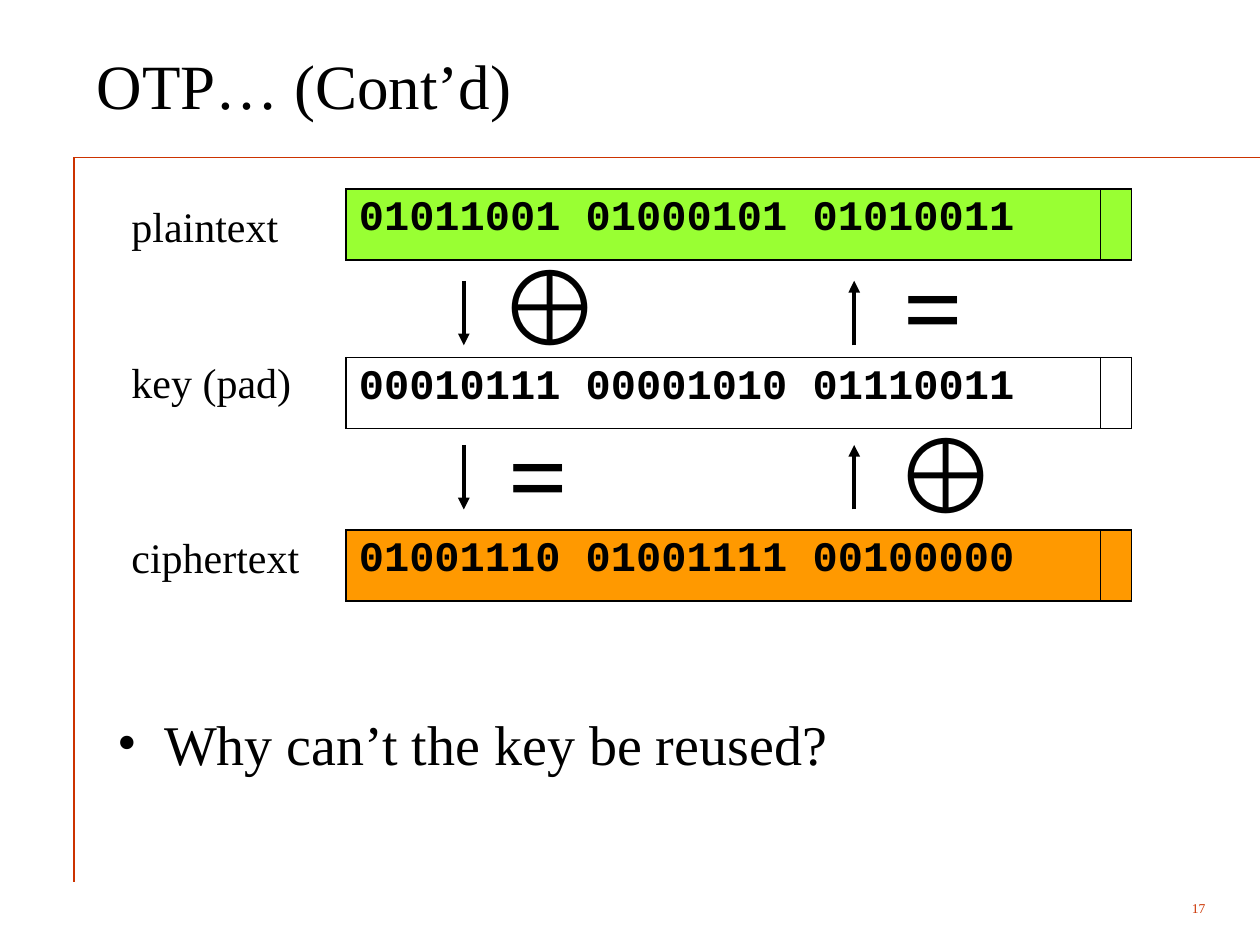
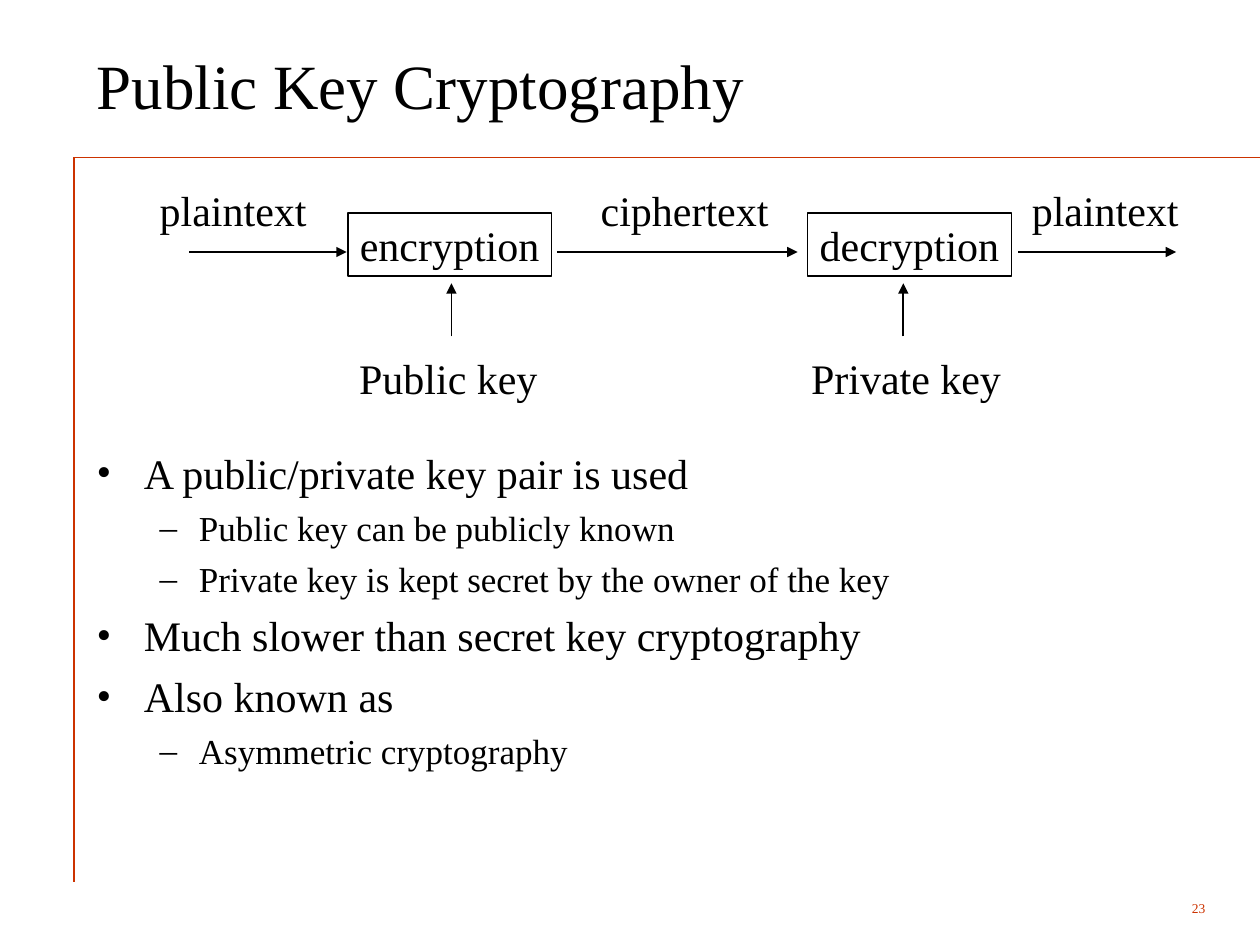
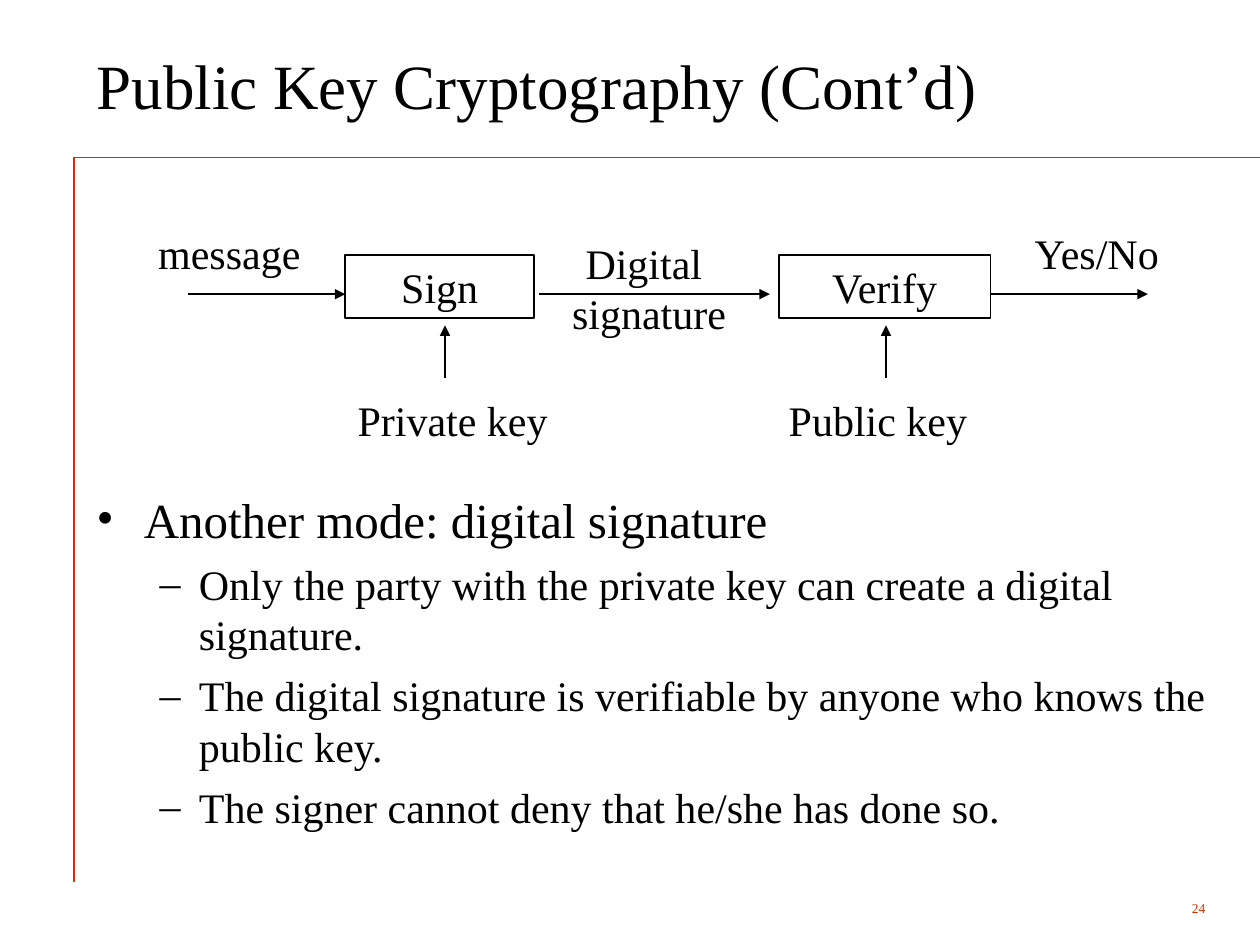
"""Builds three lecture slides on one-time pads and public key cryptography."""
from dataclasses import dataclass

from lxml import etree
from pptx import Presentation
from pptx.dml.color import RGBColor
from pptx.enum.shapes import MSO_CONNECTOR, MSO_SHAPE
from pptx.enum.text import MSO_ANCHOR, PP_ALIGN
from pptx.oxml.ns import qn
from pptx.slide import Slide
from pptx.util import Cm, Pt

STRAIGHT = MSO_CONNECTOR.STRAIGHT
RECTANGLE = MSO_SHAPE.RECTANGLE
TOP, MIDDLE = MSO_ANCHOR.TOP, MSO_ANCHOR.MIDDLE
LEFT, CENTER, RIGHT = PP_ALIGN.LEFT, PP_ALIGN.CENTER, PP_ALIGN.RIGHT

SERIF, SANS, MONO = "Times New Roman", "Arial", "Courier New"
BLACK, RUST, GREEN, ORANGE = "000000", "CC3300", "99FF33", "FF9900"
MARGIN_X, MARGIN_Y = 0.25, 0.13
LABEL_HEIGHT = 1.27


@dataclass(frozen=True)
class Style:
    """Look of a piece of text."""
    size: float = 24
    font: str = SERIF
    color: str = BLACK
    bold: bool = False
    align: PP_ALIGN = LEFT


@dataclass(frozen=True)
class Area:
    """Position and size in centimetres."""
    left: float
    top: float
    width: float
    height: float = LABEL_HEIGHT


@dataclass(frozen=True)
class Bullet:
    """One bulleted line with its outline level."""
    text: str
    size: float
    level: int = 0


@dataclass(frozen=True)
class BitRow:
    """A labelled row of bits."""
    label: str
    bits: str
    label_top: float
    top: float
    fill: str | None = None


@dataclass(frozen=True)
class Caption:
    """Text with its horizontal extent."""
    text: str
    left: float
    width: float


@dataclass(frozen=True)
class Stage:
    """A boxed operation with the key that feeds it."""
    box: Caption
    key: Caption
    key_arrow: float


@dataclass(frozen=True)
class Flow:
    """A chain of two stages joined by labelled arrows."""
    top: float
    messages: tuple[Caption, ...]
    stages: tuple[Stage, ...]
    arrows: tuple[tuple[float, float], ...]


TITLE = Style(size=36)
LABEL = Style()
CENTERED_LABEL = Style(align=CENTER)
PAGE_NUMBER = Style(size=7.7, color=RUST, align=RIGHT)
BITS = Style(font=MONO, bold=True)
OPERATOR_FONTS = {"⊕": SANS, "=": SERIF}

INDENTS = ((0.95, "•", 0.95), (2.06, "–", 0.79))

BIT_ROWS = (
    BitRow("plaintext", "01011001 01000101 01010011", 3.91, 3.81, GREEN),
    BitRow("key (pad)", "00010111 00001010 01110011", 7.06, 7.21),
    BitRow("ciphertext", "01001110 01001111 00100000", 10.59, 10.69, ORANGE),
)

ENCRYPTION_FLOW = Flow(
    top=3.6,
    messages=(Caption("plaintext", 2.97, 3.7), Caption("ciphertext", 11.86, 4.1),
              Caption("plaintext", 20.55, 3.7)),
    stages=(Stage(Caption("encryption", 7.01, 4.11), Caption("Public key", 6.99, 4.4), 9.1),
            Stage(Caption("decryption", 16.28, 4.11), Caption("Private key", 16.1, 4.6), 18.21)),
    arrows=((3.81, 6.99), (11.23, 16.08), (20.53, 23.71)),
)

SIGNATURE_FLOW = Flow(
    top=4.45,
    messages=(Caption("message", 2.94, 3.6), Caption("Digital \nsignature", 11.28, 3.61),
              Caption("Yes/No", 20.61, 3.4)),
    stages=(Stage(Caption("Sign", 6.96, 3.81), Caption("Private key", 6.96, 4.6), 8.97),
            Stage(Caption("Verify", 15.7, 4.27), Caption("Public key", 15.65, 4.4), 17.86)),
    arrows=((3.78, 6.96), (10.87, 15.52), (19.96, 23.14)),
)


def rgb(color: str) -> RGBColor:
    """Turn a hex string into a colour."""
    return RGBColor.from_string(color)


def add_run(paragraph, text: str, style: Style) -> None:
    """Append one styled run to a paragraph."""
    paragraph.alignment = style.align
    run = paragraph.add_run()
    run.text = text
    run.font.size = Pt(style.size)
    run.font.name = style.font
    run.font.bold = style.bold
    run.font.color.rgb = rgb(style.color)


def prepare_frame(frame, anchor: MSO_ANCHOR = TOP, margin_x: float = MARGIN_X) -> None:
    """Set wrapping, anchor and margins of a text frame."""
    frame.word_wrap = True
    frame.vertical_anchor = anchor
    frame.margin_left = frame.margin_right = Cm(margin_x)
    frame.margin_top = frame.margin_bottom = Cm(MARGIN_Y)


def extent(area: Area) -> tuple[Cm, Cm, Cm, Cm]:
    """Convert an area to lengths."""
    return Cm(area.left), Cm(area.top), Cm(area.width), Cm(area.height)


def add_text(slide: Slide, area: Area, text: str, style: Style = LABEL,
             anchor: MSO_ANCHOR = TOP) -> None:
    """Place a text box with one paragraph per line of text."""
    frame = slide.shapes.add_textbox(*extent(area)).text_frame
    prepare_frame(frame, anchor)
    for index, line in enumerate(text.split("\n")):
        add_run(frame.add_paragraph() if index else frame.paragraphs[0], line, style)


def add_box(slide: Slide, area: Area, text: str) -> None:
    """Place an outlined box with centred text."""
    box = slide.shapes.add_shape(RECTANGLE, *extent(area))
    box.shadow.inherit = False
    box.fill.background()
    box.line.color.rgb = rgb(BLACK)
    box.line.width = Pt(1)
    prepare_frame(box.text_frame, margin_x=0.1)
    add_run(box.text_frame.paragraphs[0], text, CENTERED_LABEL)


def add_line(slide: Slide, start: tuple[float, float], end: tuple[float, float],
             width: float = 1, color: str = BLACK, arrow: bool = True) -> None:
    """Draw a straight line, by default with an arrowhead at its end."""
    line = slide.shapes.add_connector(STRAIGHT, *map(Cm, start + end))
    line.line.color.rgb = rgb(color)
    line.line.width = Pt(width)
    if arrow:
        etree.SubElement(line.line._get_or_add_ln(), qn("a:tailEnd"), type="triangle")
    etree.SubElement(line._element.spPr, qn("a:effectLst"))


def add_bullets(slide: Slide, area: Area, bullets: tuple[Bullet, ...]) -> None:
    """Place a bulleted list whose gaps are a quarter of the text size."""
    frame = slide.shapes.add_textbox(*extent(area)).text_frame
    prepare_frame(frame)
    for index, bullet in enumerate(bullets):
        paragraph = frame.add_paragraph() if index else frame.paragraphs[0]
        indent, mark, hanging = INDENTS[bullet.level]
        properties = paragraph._p.get_or_add_pPr()
        properties.set("marL", str(Cm(indent)))
        properties.set("indent", str(-Cm(hanging)))
        etree.SubElement(properties, qn("a:buFont"), typeface=SERIF)
        etree.SubElement(properties, qn("a:buChar"), char=mark)
        paragraph.level = bullet.level
        if index:
            paragraph.space_before = Pt(bullet.size / 4)
        add_run(paragraph, bullet.text, Style(size=bullet.size))


def style_cell(cell, fill: str | None, borders: dict[str, float]) -> None:
    """Set the fill and border widths of a cell."""
    properties = cell._tc.get_or_add_tcPr()
    for side, width in borders.items():
        border = etree.SubElement(properties, qn(f"a:ln{side}"), w=str(Pt(width)))
        paint = etree.SubElement(border, qn("a:solidFill"))
        etree.SubElement(paint, qn("a:srgbClr"), val=BLACK)
    if fill:
        cell.fill.solid()
        cell.fill.fore_color.rgb = rgb(fill)
    else:
        cell.fill.background()


def add_bit_row(slide: Slide, row: BitRow) -> None:
    """Place a row label and its table of bits."""
    add_text(slide, Area(2.4, row.label_top, 4.37), row.label)
    area = Area(6.98, row.top, 15.83, 1.43)
    table = slide.shapes.add_table(1, 2, *extent(area)).table
    table.first_row = table.horz_banding = False
    table.columns[0].width, table.columns[1].width = Cm(15.2), Cm(0.63)
    outer, inner = 1.08, 0.45
    bits, remainder = table.cell(0, 0), table.cell(0, 1)
    style_cell(bits, row.fill, {"L": outer, "R": inner, "T": outer, "B": outer})
    style_cell(remainder, row.fill, {"L": inner, "R": outer, "T": outer, "B": outer})
    add_run(bits.text_frame.paragraphs[0], row.bits, BITS)


def add_pad_steps(slide: Slide, arrow_left: float, operator_left: float,
                  operators: str, downward: bool) -> None:
    """Draw one column of arrows and operators between the bit rows."""
    for step, operator in enumerate(operators):
        upper = (arrow_left, 5.66 + 3.31 * step)
        lower = (arrow_left, 6.96 + 3.31 * step)
        ends = (upper, lower) if downward else (lower, upper)
        add_line(slide, *ends, width=2.25)
        style = Style(60, OPERATOR_FONTS[operator], bold=True, align=CENTER)
        add_text(slide, Area(operator_left, 4.71 + 3.4 * step, 2.13, 2.79), operator, style)


def add_flow(slide: Slide, flow: Flow) -> None:
    """Draw a chain of stages, its messages and its keys."""
    for message in flow.messages:
        stacked = "\n" in message.text
        top, height = (flow.top + 0.2, 2.29) if stacked else (flow.top, LABEL_HEIGHT)
        add_text(slide, Area(message.left, top, message.width, height), message.text,
                 CENTERED_LABEL if stacked else LABEL)
    for start, end in flow.arrows:
        add_line(slide, (start, flow.top + 1.48), (end, flow.top + 1.48))
    for stage in flow.stages:
        box, key = stage.box, stage.key
        add_box(slide, Area(box.left, flow.top + 0.69, box.width), box.text)
        add_line(slide, (stage.key_arrow, flow.top + 3.18), (stage.key_arrow, flow.top + 2.11))
        add_text(slide, Area(key.left, flow.top + 3.38, key.width), key.text)


def add_slide(deck, title: str, number: int) -> Slide:
    """Add a slide with the shared rules, title and page number."""
    slide = deck.slides.add_slide(deck.slide_layouts[6])
    corner = (1.49, 3.17)
    add_line(slide, corner, (25.4, 3.17), 0.25, RUST, arrow=False)
    add_line(slide, corner, (1.49, 17.78), 0.75, RUST, arrow=False)
    add_text(slide, Area(22.43, 17.98, 2.12, 0.64), str(number), PAGE_NUMBER, MIDDLE)
    add_text(slide, Area(1.7, 0.43, 22.89, 2.54), title, TITLE, MIDDLE)
    return slide


def main() -> None:
    """Build and save the deck."""
    deck = Presentation()
    deck.slide_width, deck.slide_height = Cm(25.4), Cm(19.05)

    one_time_pad = add_slide(deck, "OTP… (Cont’d)", 17)
    for row in BIT_ROWS:
        add_bit_row(one_time_pad, row)
    add_pad_steps(one_time_pad, 9.35, 9.78, "⊕=", downward=True)
    add_pad_steps(one_time_pad, 17.22, 17.76, "=⊕", downward=False)
    add_bullets(one_time_pad, Area(2.11, 14.17, 22.3, 1.9),
                (Bullet("Why can’t the key be reused?", 32),))

    public_key = add_slide(deck, "Public Key Cryptography", 23)
    add_flow(public_key, ENCRYPTION_FLOW)
    add_bullets(public_key, Area(1.7, 8.89, 22.94, 8.26), (
        Bullet("A public/private key pair is used", 24),
        Bullet("Public key can be publicly known", 20, 1),
        Bullet("Private key is kept secret by the owner of the key", 20, 1),
        Bullet("Much slower than secret key cryptography", 24),
        Bullet("Also known as", 24),
        Bullet("Asymmetric cryptography", 20, 1),
    ))

    signature = add_slide(deck, "Public Key Cryptography (Cont’d)", 24)
    add_flow(signature, SIGNATURE_FLOW)
    add_bullets(signature, Area(1.7, 9.73, 22.94, 7.42), (
        Bullet("Another mode: digital signature", 28),
        Bullet("Only the party with the private key can create a digital signature.", 24, 1),
        Bullet("The digital signature is verifiable by anyone who knows the public key.", 24, 1),
        Bullet("The signer cannot deny that he/she has done so.", 24, 1),
    ))

    deck.save("out.pptx")


if __name__ == "__main__":
    main()
